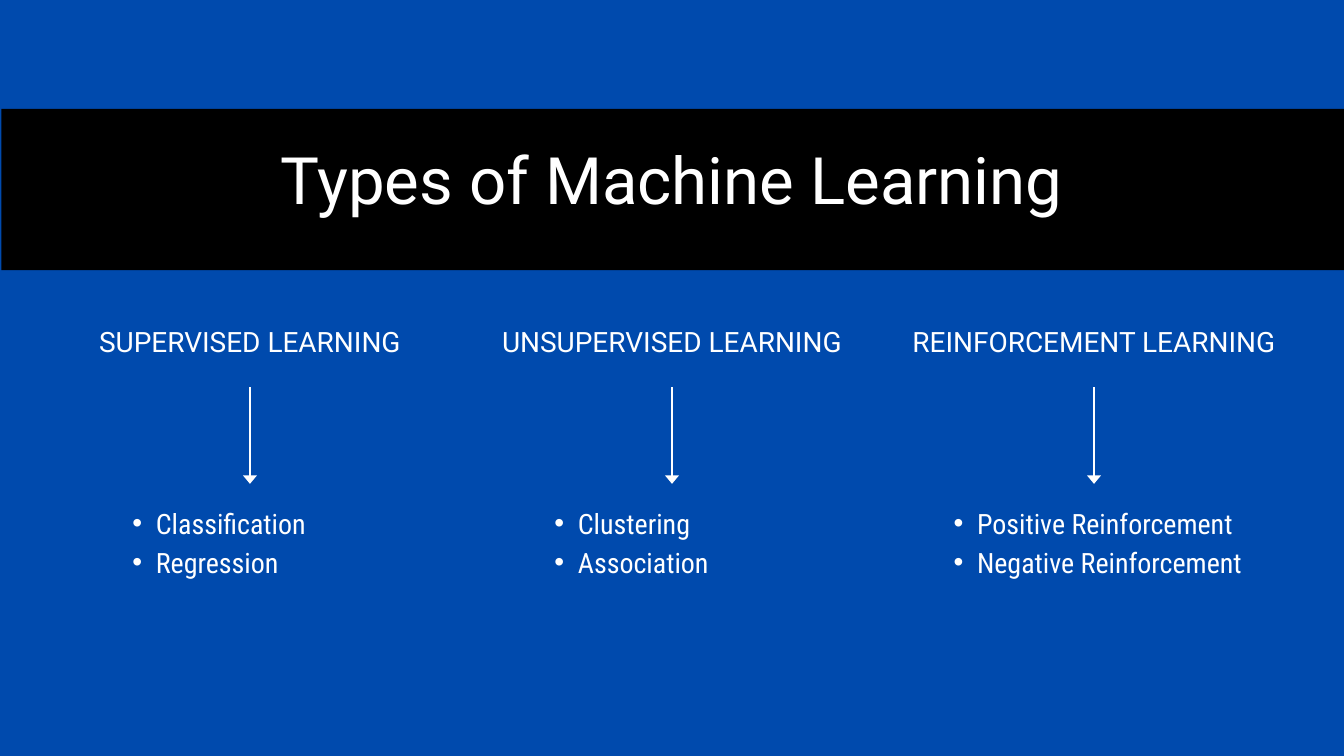
from lxml.etree import SubElement
from pptx import Presentation
from pptx.dml.color import RGBColor
from pptx.enum.shapes import MSO_CONNECTOR as Connector, MSO_SHAPE as Shape
from pptx.enum.text import PP_ALIGN as Align
from pptx.oxml.ns import qn
from pptx.util import Inches, Pt

TITLE = "Types of Machine Learning"
# heading, left edge and width of the list, methods
BRANCHES = [
    ("SUPERVISED LEARNING", 1.61, 4.23, ["Classification", "Regression"]),
    ("UNSUPERVISED LEARNING", 7.89, 4.23, ["Clustering", "Association"]),
    ("REINFORCEMENT LEARNING", 13.83, 5.42,
     ["Positive Reinforcement", "Negative Reinforcement"]),
]
COLORS = {"background": "004AAD", "band": "000000", "text": "FFFFFF"}
FORMATS = {
    "title": {"size": Pt(70), "name": "Roboto"},
    "heading": {"size": Pt(30), "name": "Roboto"},
    "method": {"size": Pt(30), "name": "Roboto Condensed"},
}
LEADING = 1.4  # line spacing relative to the text size
SLIDE_W, SLIDE_H = 20, 11.25
CENTER, COLUMN_STEP = SLIDE_W / 2, 6.28
HEADING_W = 5.5
ARROW_TOP, ARROW_BOTTOM = 5.76, 7.2


def color(role):
    return RGBColor.from_string(COLORS[role])


def add_bullet(paragraph):
    props = paragraph._p.get_or_add_pPr()
    props.set("marL", str(Inches(0.71)))
    props.set("indent", str(Inches(-0.35)))
    SubElement(props, qn("a:buFont"), typeface="Arial")
    SubElement(props, qn("a:buChar"), char="•")


def add_text(slide, lines, style, left, top, width, height, bulleted=False):
    frame = slide.shapes.add_textbox(
        *map(Inches, (left, top, width, height))).text_frame
    frame.word_wrap = True
    for side in ("left", "top", "right", "bottom"):
        setattr(frame, f"margin_{side}", 0)
    frame.text = "\n".join(lines)
    for paragraph in frame.paragraphs:
        paragraph.alignment = Align.LEFT if bulleted else Align.CENTER
        paragraph.line_spacing = Pt(FORMATS[style]["size"].pt * LEADING)
        if bulleted:
            add_bullet(paragraph)
        font = paragraph.runs[0].font
        for attribute, value in FORMATS[style].items():
            setattr(font, attribute, value)
        font.color.rgb = color("text")


def add_arrow(slide, x):
    arrow = slide.shapes.add_connector(
        Connector.STRAIGHT, *map(Inches, (x, ARROW_TOP, x, ARROW_BOTTOM)))
    arrow.line.width = Pt(3)
    arrow.line.color.rgb = color("text")
    SubElement(arrow.line._get_or_add_ln(), qn("a:tailEnd"),
               type="triangle", w="lg", len="med")
    SubElement(arrow._element.spPr, qn("a:effectLst"))


def main():
    deck = Presentation()
    deck.slide_width, deck.slide_height = Inches(SLIDE_W), Inches(SLIDE_H)
    slide = deck.slides.add_slide(deck.slide_layouts[6])
    slide.background.fill.solid()
    slide.background.fill.fore_color.rgb = color("background")

    band = slide.shapes.add_shape(
        Shape.RECTANGLE, *map(Inches, (0.02, 1.62, SLIDE_W - 0.02, 2.4)))
    band.shadow.inherit = False
    band.fill.solid()
    band.fill.fore_color.rgb = color("band")
    band.line.fill.background()
    add_text(slide, [TITLE], "title", 3.32, 1.88, 13.35, 1.33)

    for column, (heading, list_left, list_width, methods) in enumerate(BRANCHES):
        x = CENTER + (column - 1) * COLUMN_STEP
        add_text(slide, [heading], "heading",
                 x - HEADING_W / 2, 4.75, HEADING_W, 0.58)
        add_arrow(slide, x)
        add_text(slide, methods, "method",
                 list_left, 7.45, list_width, 1.17, bulleted=True)

    deck.save("out.pptx")


if __name__ == "__main__":
    main()
